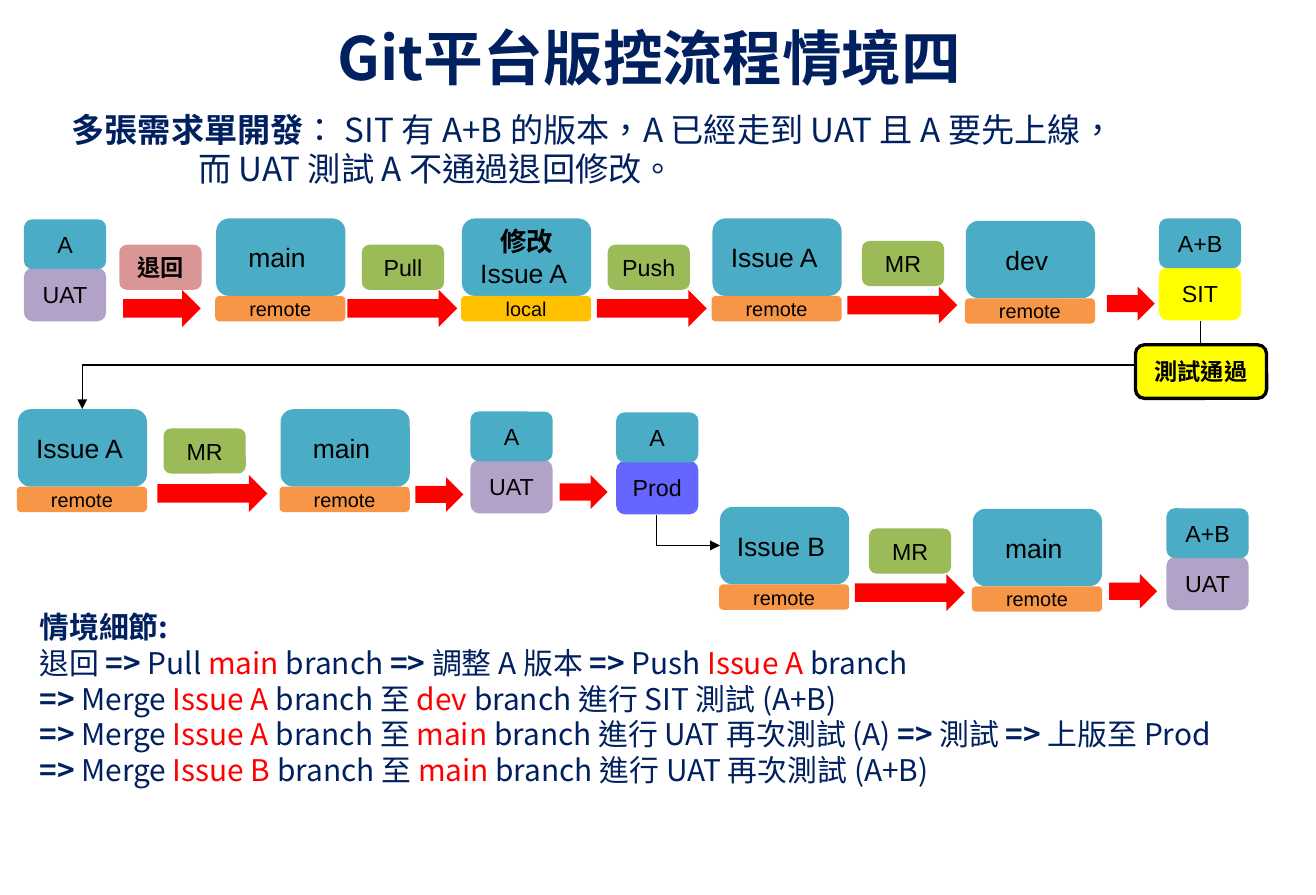
"""Builds the version-control flow slide for scenario four."""
from dataclasses import dataclass

from lxml.etree import SubElement
from pptx import Presentation
from pptx.dml.color import RGBColor
from pptx.enum.lang import MSO_LANGUAGE_ID
from pptx.enum.shapes import MSO_CONNECTOR, MSO_SHAPE
from pptx.enum.text import MSO_ANCHOR, MSO_AUTO_SIZE, PP_ALIGN
from pptx.oxml.ns import qn
from pptx.util import Cm, Pt

NAVY, RED, BLACK = "002060", "FF0000", "000000"
TEAL, GREEN, PINK, YELLOW = "4BACC6", "9BBB59", "D99694", "FFFF00"
ORANGE, AMBER, PURPLE, INDIGO = "F79646", "FFC000", "B3A2C7", "6666FF"
CJK, LATIN = "Noto Sans CJK SC", "Arial"


@dataclass(frozen=True)
class Run:
    text: str
    color: str = NAVY
    bold: bool = False


@dataclass(frozen=True)
class Branch:
    x: float
    y: float
    lines: tuple[Run, ...]
    place: str = "remote"
    color: str = ORANGE


@dataclass(frozen=True)
class Env:
    x: float
    y: float
    version: str
    name: str
    color: str


@dataclass(frozen=True)
class Tag:
    x: float
    y: float
    text: str
    color: str = GREEN
    bold: bool = False


@dataclass(frozen=True)
class Arrow:
    x: float
    y: float
    w: float = 2.34
    h: float = 0.79


@dataclass(frozen=True)
class Elbow:
    start: tuple[float, float]
    end: tuple[float, float]
    preset: str
    turn: int
    flipped: bool = False


def black(text: str, bold: bool = False) -> Run:
    return Run(text, BLACK, bold)


def red(text: str) -> Run:
    return Run(text, RED)


def merge(issue: str, target: str, rest: str) -> list[Run]:
    return [Run("=>", bold=True), Run(" Merge "), red(issue), Run(" branch 至 "),
            red(target), Run(f" branch 進行 {rest}")]


BRANCHES = [
    Branch(4.6, 4.65, (black("main "),)),
    Branch(9.83, 4.65, (black("修改", True), black("Issue A ")), "local", AMBER),
    Branch(15.16, 4.65, (black("Issue A "),)),
    Branch(20.55, 4.7, (black("dev "),)),
    Branch(0.38, 8.71, (black("Issue A "),)),
    Branch(5.97, 8.71, (black("main "),)),
    Branch(15.32, 10.79, (black("Issue B "),)),
    Branch(20.7, 10.83, (black("main "),)),
]
ENVS = [
    Env(0.51, 4.67, "A", "UAT", PURPLE),
    Env(24.66, 4.65, "A+B", "SIT", YELLOW),
    Env(10.01, 8.76, "A", "UAT", PURPLE),
    Env(13.11, 8.78, "A", "Prod", INDIGO),
    Env(24.82, 10.82, "A+B", "UAT", PURPLE),
]
TAGS = [
    Tag(2.54, 5.21, "退回", PINK, True),
    Tag(7.7, 5.21, "Pull"),
    Tag(12.93, 5.21, "Push"),
    Tag(18.34, 5.13, "MR"),
    Tag(3.48, 9.12, "MR"),
    Tag(18.49, 11.25, "MR"),
]
ARROWS = [
    Arrow(2.62, 6.17, 1.65),
    Arrow(7.39, 6.17),
    Arrow(12.7, 6.17),
    Arrow(18.03, 6.1),
    Arrow(23.55, 6.1, 1.02, 0.73),
    Arrow(3.35, 10.11),
    Arrow(8.84, 10.16, 1.02, 0.73),
    Arrow(11.91, 10.11, 1.02, 0.73),
    Arrow(18.19, 12.22),
    Arrow(23.6, 12.22, 1.02, 0.73),
]
ELBOWS = [
    Elbow((25.55, 6.83), (1.75, 8.71), "bentConnector3", 90),
    Elbow((13.97, 10.97), (15.32, 11.61), "bentConnector2", 270, True),
]
TITLE = [[Run("Git平台版控流程情境四", bold=True)]]
INTRO = [
    [Run("多張需求單開發", bold=True), Run("： SIT 有 A+B 的版本，A 已經走到 UAT 且 A 要先上線，")],
    [Run("而 UAT 測試 A 不通過退回修改。")],
]
DETAILS = [
    [Run("情境細節:", bold=True)],
    [Run("退回 "), Run("=>", bold=True), Run(" Pull "), red("main"), Run(" branch "),
     Run("=> ", bold=True), Run("調整 A 版本 "), Run("=>", bold=True), Run(" Push "),
     red("Issue A"), Run(" branch")],
    merge("Issue A", "dev", "SIT 測試 (A+B)"),
    merge("Issue A", "main", "UAT 再次測試 (A) ")
    + [Run("=> ", bold=True), Run("測試 "), Run("=> ", bold=True), Run("上版至 Prod")],
    merge("Issue B", "main", "UAT 再次測試 (A+B)"),
]


def rgb(color: str) -> RGBColor:
    return RGBColor.from_string(color)


def write(tf, paragraphs, font: str, size: int, align=PP_ALIGN.CENTER) -> None:
    tf.word_wrap = True
    tf.vertical_anchor = MSO_ANCHOR.MIDDLE
    for i, runs in enumerate(paragraphs):
        p = tf.add_paragraph() if i else tf.paragraphs[0]
        p.alignment = align
        for run in runs:
            r = p.add_run()
            r.text = run.text
            r.font.name, r.font.size, r.font.bold = font, Pt(size), run.bold
            r.font.language_id = MSO_LANGUAGE_ID.TAIWAN if hasattr(MSO_LANGUAGE_ID, "TAIWAN") else MSO_LANGUAGE_ID.TRADITIONAL_CHINESE
            r.font.color.rgb = rgb(run.color)
            SubElement(r.font._element, qn("a:ea")).set("typeface", CJK)


def add_filled(s, kind, x: float, y: float, w: float, h: float, color: str):
    sp = s.shapes.add_shape(kind, Cm(x), Cm(y), Cm(w), Cm(h))
    sp.shadow.inherit = False
    sp.fill.solid()
    sp.fill.fore_color.rgb = rgb(color)
    sp.line.fill.background()
    return sp


def add_box(s, x: float, y: float, w: float, h: float, color: str, lines, size: int):
    sp = add_filled(s, MSO_SHAPE.ROUNDED_RECTANGLE, x, y, w, h, color)
    write(sp.text_frame, [[line] for line in lines], LATIN, size)
    return sp


def add_branch(s, b: Branch) -> None:
    add_box(s, b.x, b.y, 2.75, 1.65, TEAL, b.lines, 16)
    add_box(s, b.x - 0.02, b.y + 1.65, 2.77, 0.54, b.color, [black(b.place)], 12)


def add_env(s, e: Env) -> None:
    add_box(s, e.x, e.y + 1.03, 1.75, 1.14, e.color, [black(e.name)], 14)
    add_box(s, e.x, e.y, 1.75, 1.06, TEAL, [black(e.version)], 14)


def add_elbow(s, e: Elbow) -> None:
    (x1, y1), (x2, y2) = e.start, e.end
    w, h = abs(y2 - y1), abs(x2 - x1)
    left, top = (x1 + x2 - w) / 2, (y1 + y2 - h) / 2
    ends = (left + w, left) if e.flipped else (left, left + w)
    c = s.shapes.add_connector(MSO_CONNECTOR.ELBOW, Cm(ends[0]), Cm(top), Cm(ends[1]), Cm(top + h))
    c.line.color.rgb = rgb(BLACK)
    c.line.width = Pt(0.75)
    pr = c._element.spPr
    pr.find(qn("a:xfrm")).set("rot", str(e.turn * 60000))
    pr.find(qn("a:prstGeom")).set("prst", e.preset)
    SubElement(pr.find(qn("a:ln")), qn("a:tailEnd")).set("type", "triangle")
    SubElement(pr, qn("a:effectLst"))


def place_text(sp, x: float, y: float, w: float, h: float, paragraphs, size: int, align) -> None:
    sp.left, sp.top, sp.width, sp.height = Cm(x), Cm(y), Cm(w), Cm(h)
    tf = sp.text_frame
    tf.auto_size = MSO_AUTO_SIZE.NONE
    tf.margin_left = tf.margin_right = tf.margin_top = tf.margin_bottom = Cm(0.28)
    write(tf, paragraphs, CJK, size, align)


def main() -> None:
    prs = Presentation()
    prs.slide_width, prs.slide_height = Cm(28), Cm(19.05)
    s = prs.slides.add_slide(prs.slide_layouts[5])
    place_text(s.shapes.title, 3.71, 0.2, 20.22, 2.01, TITLE, 36, PP_ALIGN.CENTER)
    details, intro = (s.shapes.add_textbox(0, 0, 0, 0) for _ in range(2))
    place_text(details, 0.56, 12.83, 27.03, 4.06, DETAILS, 18, PP_ALIGN.LEFT)
    place_text(intro, 1.24, 2.16, 25.17, 2.01, INTRO, 20, PP_ALIGN.LEFT)
    intro.text_frame.paragraphs[1]._p.get_or_add_pPr().set("marL", str(Cm(2.7)))
    for branch in BRANCHES:
        add_branch(s, branch)
    for env in ENVS:
        add_env(s, env)
    for tag in TAGS:
        add_box(s, tag.x, tag.y, 1.75, 0.96, tag.color, [black(tag.text, tag.bold)], 14)
    for a in ARROWS:
        add_filled(s, MSO_SHAPE.RIGHT_ARROW, a.x, a.y, a.w, a.h, RED)
    for elbow in ELBOWS:
        add_elbow(s, elbow)
    passed = add_box(s, 24.16, 7.34, 2.79, 1.14, YELLOW, [black("測試通過", True)], 14)
    passed.line.color.rgb = rgb(BLACK)
    passed.line.width = Pt(2)
    prs.save("out.pptx")


if __name__ == "__main__":
    main()
